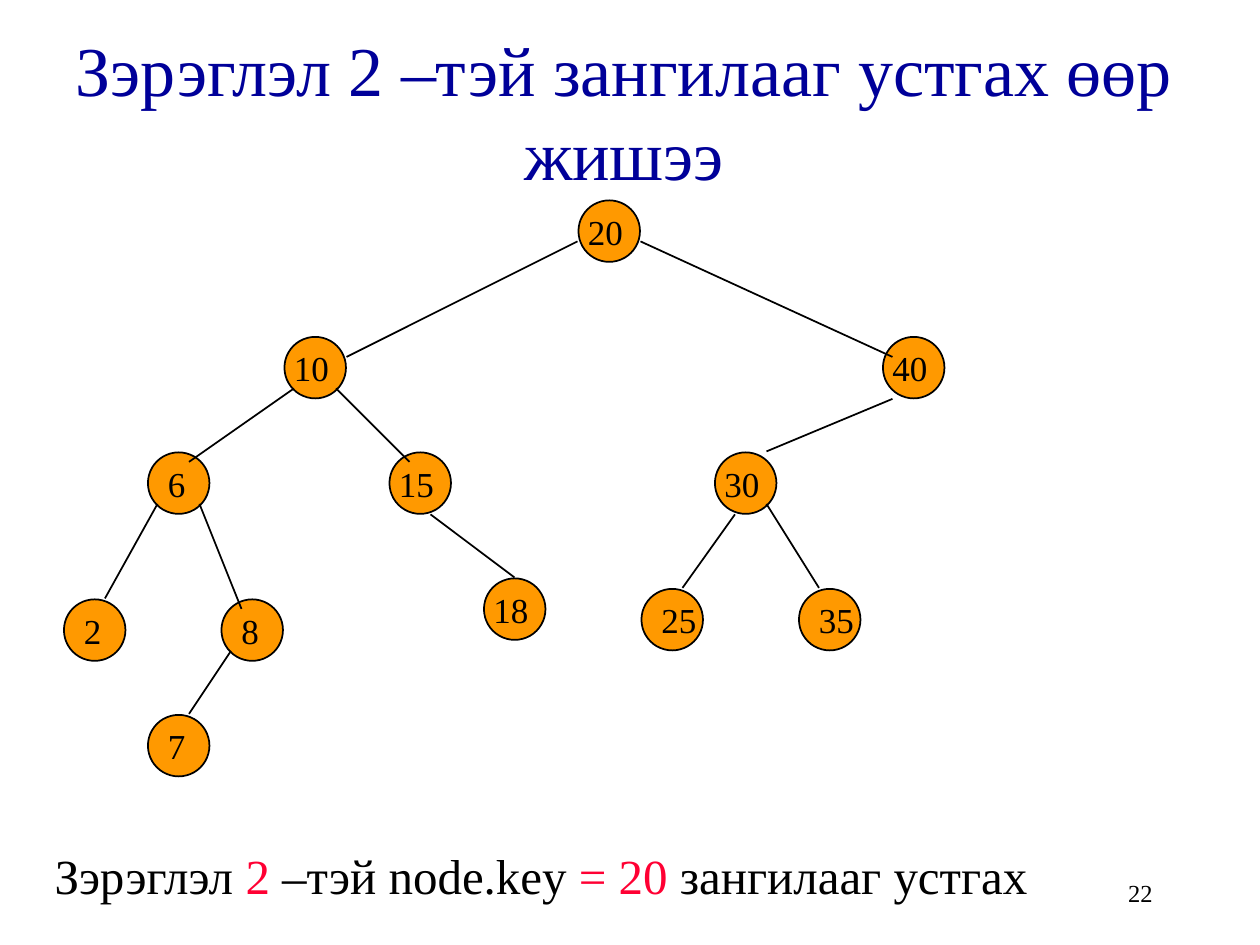
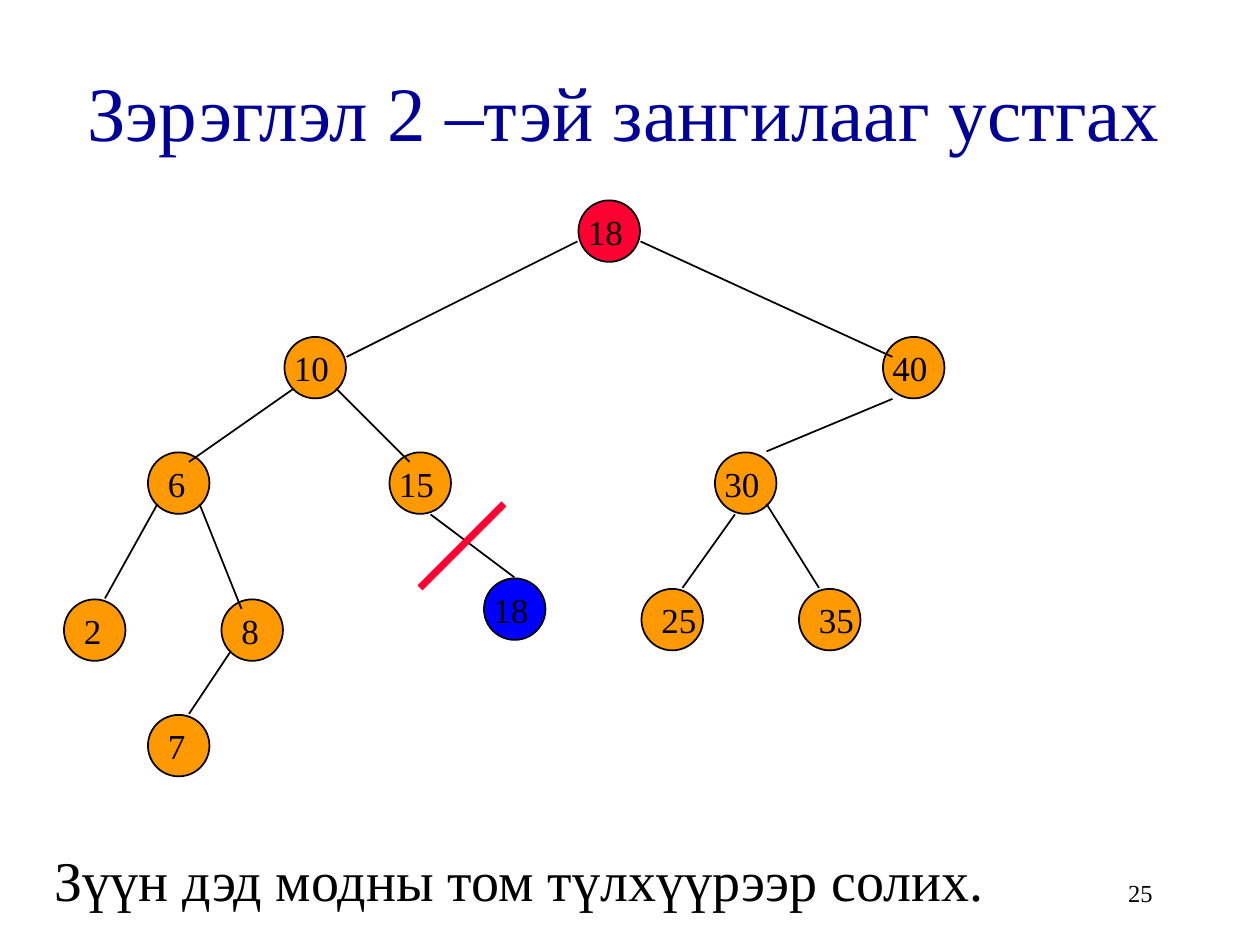
import pptx
import pptx.dml.color
import pptx.enum.shapes
import pptx.enum.text
import pptx.oxml.xmlchemy
import pptx.util

Cm = pptx.util.Cm
Pt = pptx.util.Pt
ALIGN = pptx.enum.text.PP_ALIGN
ANCHOR = pptx.enum.text.MSO_ANCHOR
SHAPE = pptx.enum.shapes.MSO_SHAPE
LINE = pptx.enum.shapes.MSO_CONNECTOR

FONT = "Times New Roman"
BLACK, NAVY, RED = "000000", "000099", "FF0033"
ORANGE, BLUE = "FF9900", "0000FF"

STEP = 2.54 / 12
SIZE = 1.24
NODES = {
    "root": (49, 0, "20"),
    "ten": (21, 13, "10"),
    "forty": (78, 13, "40"),
    "six": (8, 24, "6"),
    "fifteen": (31, 24, "15"),
    "thirty": (62, 24, "30"),
    "two": (0, 38, "2"),
    "eight": (15, 38, "8"),
    "last": (40, 36, "18"),
    "left": (55, 37, "25"),
    "right": (70, 37, "35"),
    "seven": (8, 49, "7"),
}
INDENTED = ("six", "two", "eight", "seven", "left", "right")
EDGES = [
    (49, 4, 27, 15), (55, 4, 79, 15), (22, 18, 12, 25), (26, 18, 33, 25),
    (79, 19, 67, 24), (9, 29, 4, 38), (13, 29, 17, 39), (64, 30, 59, 37),
    (67, 29, 72, 37), (16, 43, 12, 49), (35, 30, 43, 36),
]
CUT = (42, 29, 34, 37)

TITLE_BOX = (0.2, 0.64, 24.76, 3.18)
TREE_BOX = (1.27, 4.02)
NOTE_BOX = (0.85, 16.93, 22.86, 1.45)
PAGE_BOX = (18.2, 17.36, 5.29, 1.27)


def ink(code):
    return pptx.dml.color.RGBColor.from_string(code)


def place(shape, box):
    shape.left, shape.top, shape.width, shape.height = map(Cm, box)


def write(shape, parts, size=20, color=BLACK, align=ALIGN.LEFT, anchor=ANCHOR.TOP, wrap=True):
    frame = shape.text_frame
    frame.auto_size = pptx.enum.text.MSO_AUTO_SIZE.NONE
    frame.word_wrap = wrap
    frame.vertical_anchor = anchor
    para = frame.paragraphs[0]
    para.alignment = align
    if isinstance(parts, str):
        parts = [(parts, color)]
    for text, tint in parts:
        run = para.add_run()
        run.text = text
        run.font.name = FONT
        run.font.size = Pt(size)
        run.font.color.rgb = ink(tint)


def label(slide, box, parts, **style):
    write(slide.shapes.add_textbox(*map(Cm, box)), parts, **style)


def stroke(slide, box, ends, color=BLACK, width=1):
    left, top = box
    x1, y1, x2, y2 = (n * STEP for n in ends)
    line = slide.shapes.add_connector(
        LINE.STRAIGHT, Cm(left + x1), Cm(top + y1), Cm(left + x2), Cm(top + y2))
    line.line.color.rgb = ink(color)
    line.line.width = Pt(width)
    line._element.spPr.append(pptx.oxml.xmlchemy.OxmlElement("a:effectLst"))


def disc(slide, x, y, color):
    shape = slide.shapes.add_shape(SHAPE.OVAL, Cm(x), Cm(y), Cm(SIZE), Cm(SIZE))
    shape.shadow.inherit = False
    shape.fill.solid()
    shape.fill.fore_color.rgb = ink(color)
    shape.line.color.rgb = ink(BLACK)
    shape.line.width = Pt(1)


def tree(slide, box, fills, keys):
    left, top = box
    spots = {name: (left + col * STEP + 0.02, top + row * STEP + 0.02)
             for name, (col, row, key) in NODES.items()}
    for name, (x, y) in spots.items():
        disc(slide, x, y, fills.get(name, ORANGE))
    for ends in EDGES:
        stroke(slide, box, ends)
    for name, (x, y) in spots.items():
        key = keys.get(name, NODES[name][2])
        shift = 0.15 if name in INDENTED else -0.06
        width = 1.22 if len(key) > 1 else 0.86
        label(slide, (x + shift, y + 0.07, width, 1.09), key, wrap=False)


def page(deck, title, size, note, scale, number, fills={}, keys={}):
    slide = deck.slides.add_slide(deck.slide_layouts[5])
    head = slide.shapes.title
    place(head, TITLE_BOX)
    write(head, title, size=size, color=NAVY, align=ALIGN.CENTER, anchor=ANCHOR.MIDDLE)
    tree(slide, TREE_BOX, fills, keys)
    label(slide, NOTE_BOX, note, size=scale)
    label(slide, PAGE_BOX, number, size=14, align=ALIGN.RIGHT, anchor=ANCHOR.MIDDLE)
    return slide


def main():
    deck = pptx.Presentation()
    deck.slide_width, deck.slide_height = Cm(25.4), Cm(19.05)
    title = "Зэрэглэл 2 –тэй зангилааг устгах"
    task = [("Зэрэглэл ", BLACK), ("2 ", RED), ("–тэй node.key ", BLACK),
            ("= 20 ", RED), ("зангилааг устгах", BLACK)]
    page(deck, title + " өөр жишээ", 40, task, 28, "22")
    swap = page(deck, title, 44, "Зүүн дэд модны том түлхүүрээр солих.", 32, "25",
                fills={"root": RED, "last": BLUE}, keys={"root": "18"})
    stroke(swap, TREE_BOX, CUT, color=RED, width=4)
    deck.save("out.pptx")


if __name__ == "__main__":
    main()
